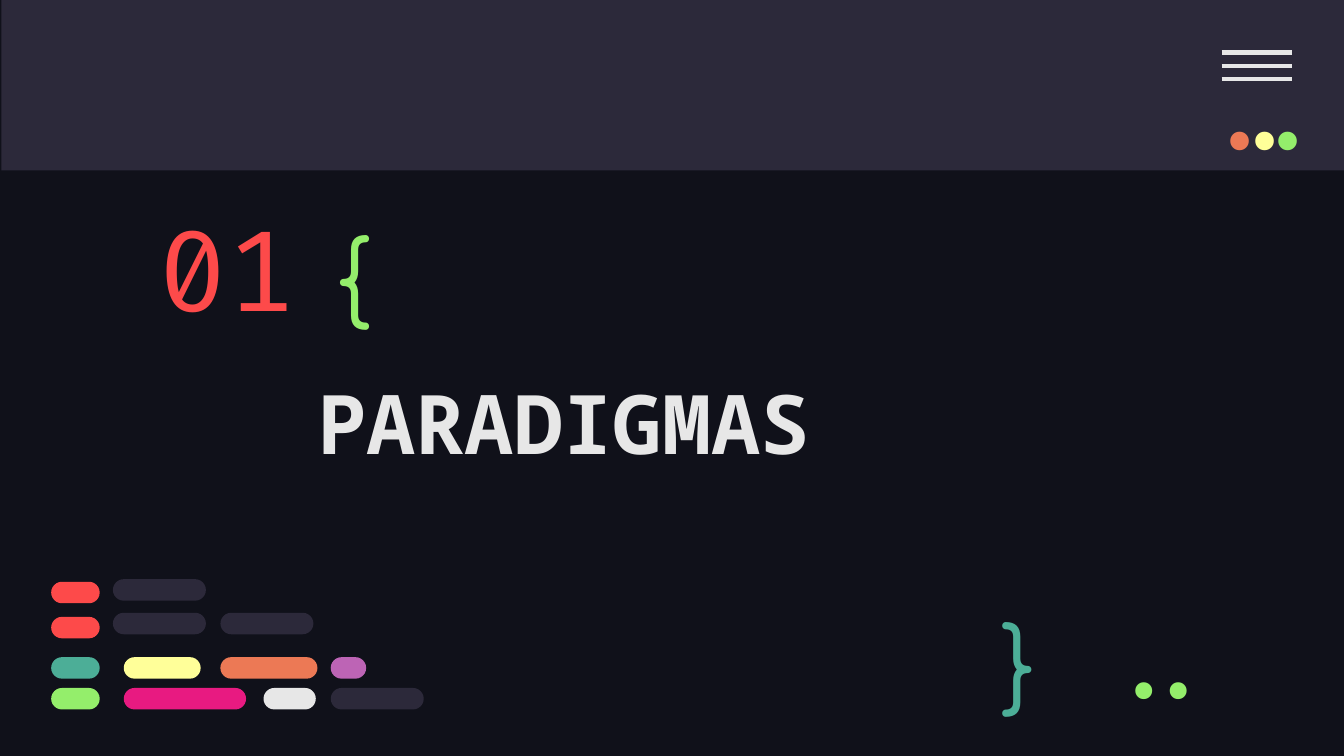
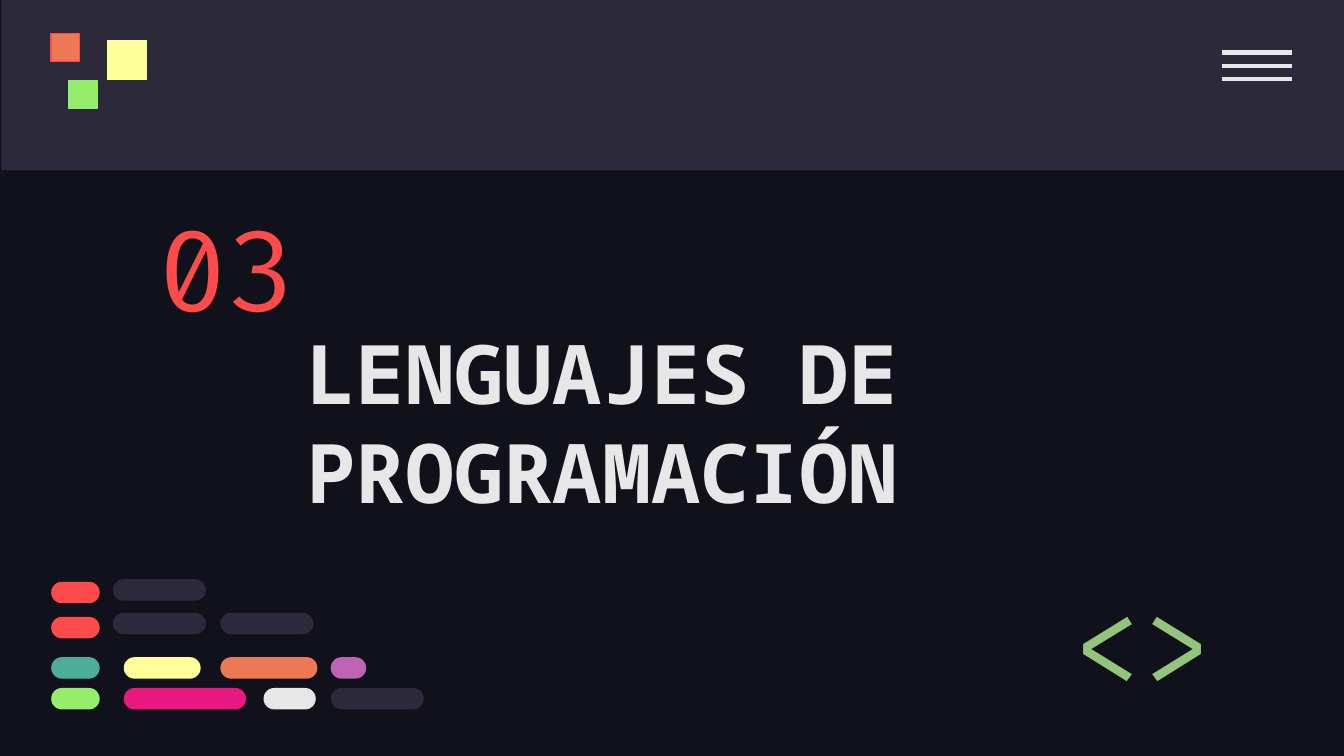
"""Build two section slides in a dark code-editor style."""
from lxml import etree
from pptx import Presentation
from pptx import util as u
from pptx.dml.color import RGBColor
from pptx.enum import shapes as sh, text as tx
from pptx.oxml import ns

NIGHT = RGBColor(0x10, 0x11, 0x1A)
SLATE = RGBColor(0x2C, 0x29, 0x3A)
WHITE = RGBColor(0xE7, 0xE7, 0xE7)
RED = RGBColor(0xFD, 0x4A, 0x4A)
GREEN = RGBColor(0x94, 0xEE, 0x6B)
TEAL = RGBColor(0x4C, 0xAE, 0x97)
LEMON = RGBColor(0xFF, 0xFF, 0x99)
CORAL = RGBColor(0xEC, 0x79, 0x55)
MAUVE = RGBColor(0xBD, 0x64, 0xB5)
PINK = RGBColor(0xE8, 0x1A, 0x81)
SAGE = RGBColor(0x93, 0xC4, 0x7D)

MONO, CODE, ROUND = "Noto Sans Mono", "Fira Code", "Comfortaa"
LEFT, MID, RIGHT = tx.PP_ALIGN.LEFT, tx.PP_ALIGN.CENTER, tx.PP_ALIGN.RIGHT
TOP, CORE = tx.MSO_ANCHOR.TOP, tx.MSO_ANCHOR.MIDDLE
RECT, PILL = sh.MSO_SHAPE.RECTANGLE, sh.MSO_SHAPE.ROUNDED_RECTANGLE
INSET, THICK = 7.2, 11.5

BARS = [
    (0, 1.4, 26, RED), (0, 20.2, 26, RED), (0, 41.8, 26, TEAL),
    (38.9, 41.8, 41.2, LEMON), (90.7, 41.8, 52, CORAL),
    (149.8, 41.8, 19, MAUVE), (0, 58.3, 26, GREEN),
    (38.9, 58.3, 65.5, PINK), (113.8, 58.3, 28, WHITE),
    (149.8, 58.3, 49.8, SLATE), (33.1, 18, 49.8, SLATE),
    (33.1, 0, 49.8, SLATE), (90.7, 18, 49.8, SLATE),
]
TILES = [
    (0, 0, 15.1, CORAL, RED), (9.4, 25.2, 15.1, GREEN, GREEN),
    (30.2, 3.6, 20.9, LEMON, LEMON),
]


def write(shape, words, size, face, hue, side=LEFT, hold=CORE, bold=False):
    """Fill a text shape with one formatted paragraph."""
    frame = shape.text_frame
    frame.text = words
    frame.word_wrap = True
    frame.auto_size = tx.MSO_AUTO_SIZE.NONE
    frame.vertical_anchor = hold
    frame.margin_left = frame.margin_right = u.Pt(INSET)
    frame.margin_top = frame.margin_bottom = u.Pt(INSET)
    para = frame.paragraphs[0]
    para.alignment = side
    para.space_before = u.Pt(0)
    font = para.runs[0].font
    font.size, font.name, font.bold = u.Pt(size), face, bold
    font.color.rgb = hue


def fill(holder, box, words, size, face, hue, bold=False):
    """Move a placeholder to its box and write in it."""
    holder.left, holder.top, holder.width, holder.height = map(u.Pt, box)
    write(holder, words, size, face, hue, bold=bold)


def label(slide, box, words, size, face, hue, side=LEFT, hold=CORE):
    """Add a text box."""
    shape = slide.shapes.add_textbox(*map(u.Pt, box))
    write(shape, words, size, face, hue, side, hold)


def block(slide, kind, box, hue, edge=None):
    """Add a flat shape with an optional thin edge."""
    shape = slide.shapes.add_shape(kind, *map(u.Pt, box))
    shape.shadow.inherit = False
    shape.fill.solid()
    shape.fill.fore_color.rgb = hue
    if edge is None:
        shape.line.fill.background()
    else:
        shape.line.color.rgb = edge
        shape.line.width = u.Pt(0.75)
    return shape


def menu(slide, box):
    """Draw the three evenly spaced lines of the menu sign."""
    left, top, width, height = box
    for row in range(3):
        y = u.Pt(top + row * height / 2)
        line = slide.shapes.add_connector(
            sh.MSO_CONNECTOR.STRAIGHT, u.Pt(left), y, u.Pt(left + width), y)
        line.line.color.rgb = WHITE
        line.line.width = u.Pt(2.25)
        etree.SubElement(line._element.spPr, ns.qn("a:effectLst"))


def header(slide, box):
    """Draw the top band with its menu sign."""
    left, top, width, height = box
    block(slide, RECT, box, SLATE)
    menu(slide, (left + width - 66.2, top + 28.1, 37.4, 14.4))


def bars(slide, box):
    """Draw the pills that stand for lines of code."""
    for x, y, width, hue in BARS:
        pill = block(slide, PILL, (box[0] + x, box[1] + y, width, THICK), hue)
        pill.adjustments[0] = 0.5


def tiles(slide, box):
    """Draw the three small squares."""
    for x, y, side, hue, edge in TILES:
        block(slide, RECT, (box[0] + x, box[1] + y, side, side), hue, edge)


def lights(slide, box):
    """Set the three window dots in a row."""
    left, top, width, height = box
    for x, hue, side in ((0, CORAL, RIGHT), (49, LEMON, MID),
                         (25.9, GREEN, RIGHT)):
        label(slide, (left + x, top, width, height), ".", 55, CODE, hue, side)


def braces(slide, box):
    """Set the opening and closing braces and the two end dots."""
    left, top = box[:2]
    label(slide, (left, top, 55.4, 68.4), "{", 50, ROUND, GREEN, hold=TOP)
    label(slide, (left + 356.4, top + 207.4, 41, 59.8), "}", 50, ROUND, TEAL,
          hold=TOP)
    label(slide, (left + 410.4, top + 224.6, 77, 43.2), "..", 50, CODE, GREEN,
          RIGHT)


def angles(slide, box):
    """Set the pair of angle brackets."""
    left, top, width, height = box
    for step, sign in enumerate("<>"):
        label(slide, (left + step * 36.7, top, width, height), sign, 60, CODE,
              SAGE)


def section(deck, number, name, box):
    """Add a section slide with the parts all sections share."""
    slide = deck.slides.add_slide(deck.slide_layouts[2])
    title, body = slide.shapes.title, slide.placeholders[1]
    fill(title, box, name, 44, MONO, WHITE, True)
    fill(body, (77.8, 106.6, 130.3, 72), number, 60, CODE, RED)
    for holder in list(slide.placeholders):
        if not holder.text_frame.text:
            holder._element.getparent().remove(holder._element)
    header(slide, (0.7, 0, 720, 91.4))
    bars(slide, (27.4, 310.3, 199.6, 69.8))
    return slide


def main():
    """Build and save the deck."""
    deck = Presentation()
    deck.slide_width, deck.slide_height = u.Pt(720), u.Pt(405)
    back = deck.slide_master.background.fill
    back.solid()
    back.fore_color.rgb = NIGHT

    first = section(deck, "01", "PARADIGMAS", (162.7, 178.6, 346.3, 94.3))
    braces(first, (172.8, 108, 487.4, 267.8))
    lights(first, (568.8, 36.7, 119.5, 43.2))

    third = section(deck, "03", "LENGUAJES DE PROGRAMACIÓN",
                    (157, 178.6, 522.7, 94.3))
    angles(third, (568.1, 307.4, 92.9, 72))
    tiles(third, (27.4, 18, 51.1, 40.3))
    deck.save("out.pptx")


if __name__ == "__main__":
    main()
